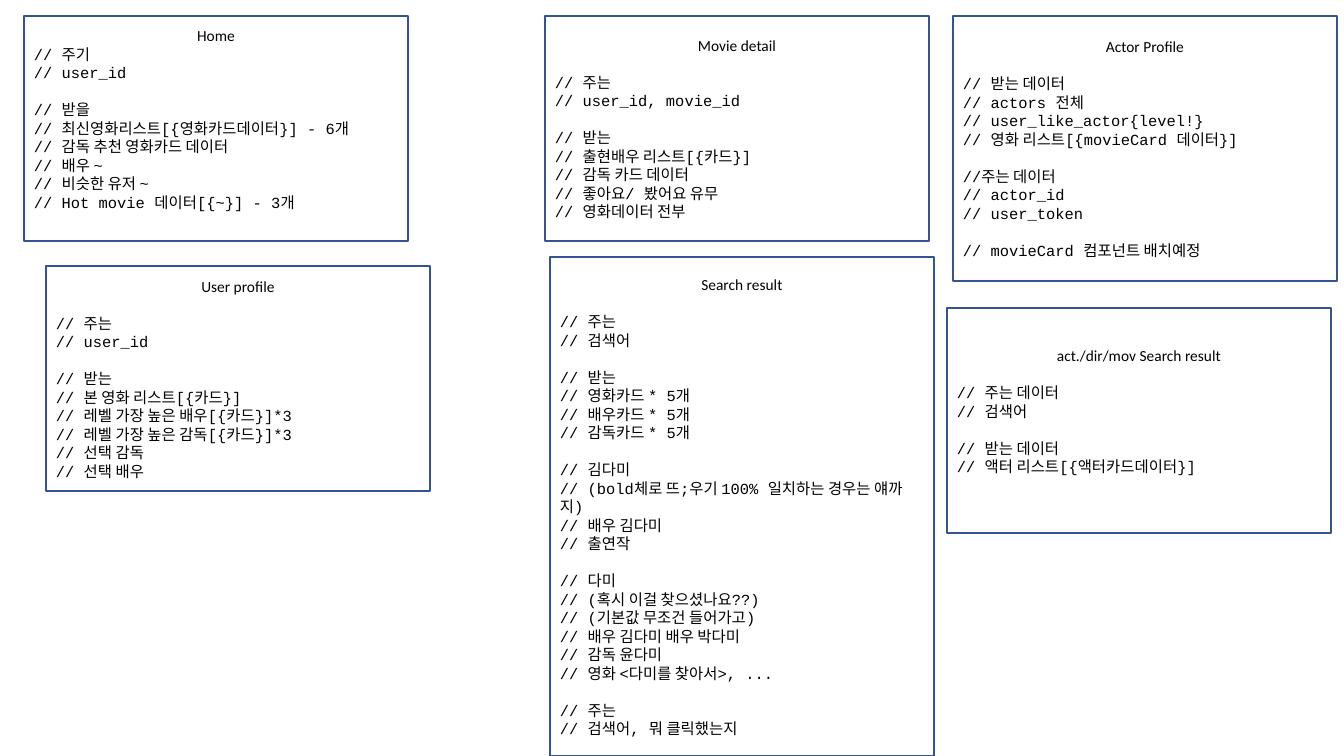
"""Builds a slide of six page cards listing the data each page sends and receives."""
from pptx import Presentation
from pptx.dml.color import RGBColor
from pptx.enum.shapes import MSO_SHAPE as Kind
from pptx.enum.text import MSO_ANCHOR as Anchor, PP_ALIGN as Align
from pptx.util import Pt

SCALE = 914400 / 100.8
BLACK = RGBColor(0x00, 0x00, 0x00)
BLUE = RGBColor(0x32, 0x54, 0x91)
WIDE = 384
GAP = Pt(13.2)
PAD = 5
ROW = 19


def px(num):
    return round(num * SCALE)


def style(item, form):
    for key, val in form.items():
        setattr(item, key, val)


HEAD = {"name": "Calibri", "size": Pt(11)}
CODE = {"name": "Courier New", "size": Pt(11)}

CARDS = [
    ("Home", (24, 16, 225), 0, ROW, [
        ["// 주기", "// user_id"],
        ["// 받을", "// 최신영화리스트[{영화카드데이터}] - 6개",
         "// 감독 추천 영화카드 데이터", "// 배우 ~", "// 비슷한 유저 ~",
         "// Hot movie 데이터[{~}] - 3개"],
    ]),
    ("User profile", (46, 266, 225), GAP, 0, [
        ["// 주는", "// user_id"],
        ["// 받는", "// 본 영화 리스트[{카드}]",
         "// 레벨 가장 높은 배우[{카드}]*3",
         "// 레벨 가장 높은 감독[{카드}]*3", "// 선택 감독", "// 선택 배우"],
    ]),
    ("Search result", (550, 257, 499), GAP, 0, [
        ["// 주는", "// 검색어"],
        ["// 받는", "// 영화카드 * 5개", "// 배우카드 * 5개", "// 감독카드 * 5개"],
        ["// 김다미", "// (bold체로 뜨;우기 100% 일치하는 경우는 얘까지)",
         "// 배우 김다미", "// 출연작"],
        ["// 다미", "// (혹시 이걸 찾으셨나요??)", "// (기본값 무조건 들어가고)",
         "// 배우 김다미 배우 박다미", "// 감독 윤다미",
         "// 영화 <다미를 찾아서>, ..."],
        ["// 주는", "// 검색어, 뭐 클릭했는지"],
    ]),
    ("Movie detail", (545, 16, 225), GAP, 0, [
        ["// 주는", "// user_id, movie_id"],
        ["// 받는", "// 출현배우 리스트[{카드}]", "// 감독 카드 데이터",
         "// 좋아요/ 봤어요 유무", "// 영화데이터 전부"],
    ]),
    ("act./dir/mov Search result", (947, 308, 225), GAP, ROW, [
        ["// 주는 데이터", "// 검색어"],
        ["// 받는 데이터", "// 액터 리스트[{액터카드데이터}]"],
    ]),
    ("Actor Profile", (953, 16, 265), GAP, 0, [
        ["// 받는 데이터", "// actors 전체", "// user_like_actor{level!}",
         "// 영화 리스트[{movieCard 데이터}]"],
        ["//주는 데이터", "// actor_id", "// user_token"],
        ["// movieCard 컴포넌트 배치예정"],
    ]),
]

deck = Presentation()
style(deck, {"slide_width": px(1344), "slide_height": px(756)})
slide = deck.slides.add_slide(deck.slide_layouts[6])

for title, (left, top, high), lead, foot, groups in CARDS:
    card = slide.shapes.add_shape(Kind.RECTANGLE, px(left), px(top), px(WIDE), px(high))
    card.shadow.inherit = False
    card.fill.background()
    card.line.color.rgb = BLUE
    card.line.width = Pt(1)
    frame = card.text_frame
    style(frame, {"word_wrap": True, "vertical_anchor": Anchor.MIDDLE,
                  "margin_top": px(PAD), "margin_bottom": px(PAD + foot)})

    lines = [(title, HEAD, Align.CENTER, 0)]
    for rank, group in enumerate(groups):
        for row, text in enumerate(group):
            gap = 0 if row else GAP if rank else lead
            lines.append((text, CODE, Align.LEFT, gap))

    for rank, (text, form, side, gap) in enumerate(lines):
        para = frame.add_paragraph() if rank else frame.paragraphs[0]
        style(para, {"alignment": side, "space_before": gap})
        run = para.add_run()
        run.text = text
        style(run.font, form)
        run.font.color.rgb = BLACK

deck.save("out.pptx")
